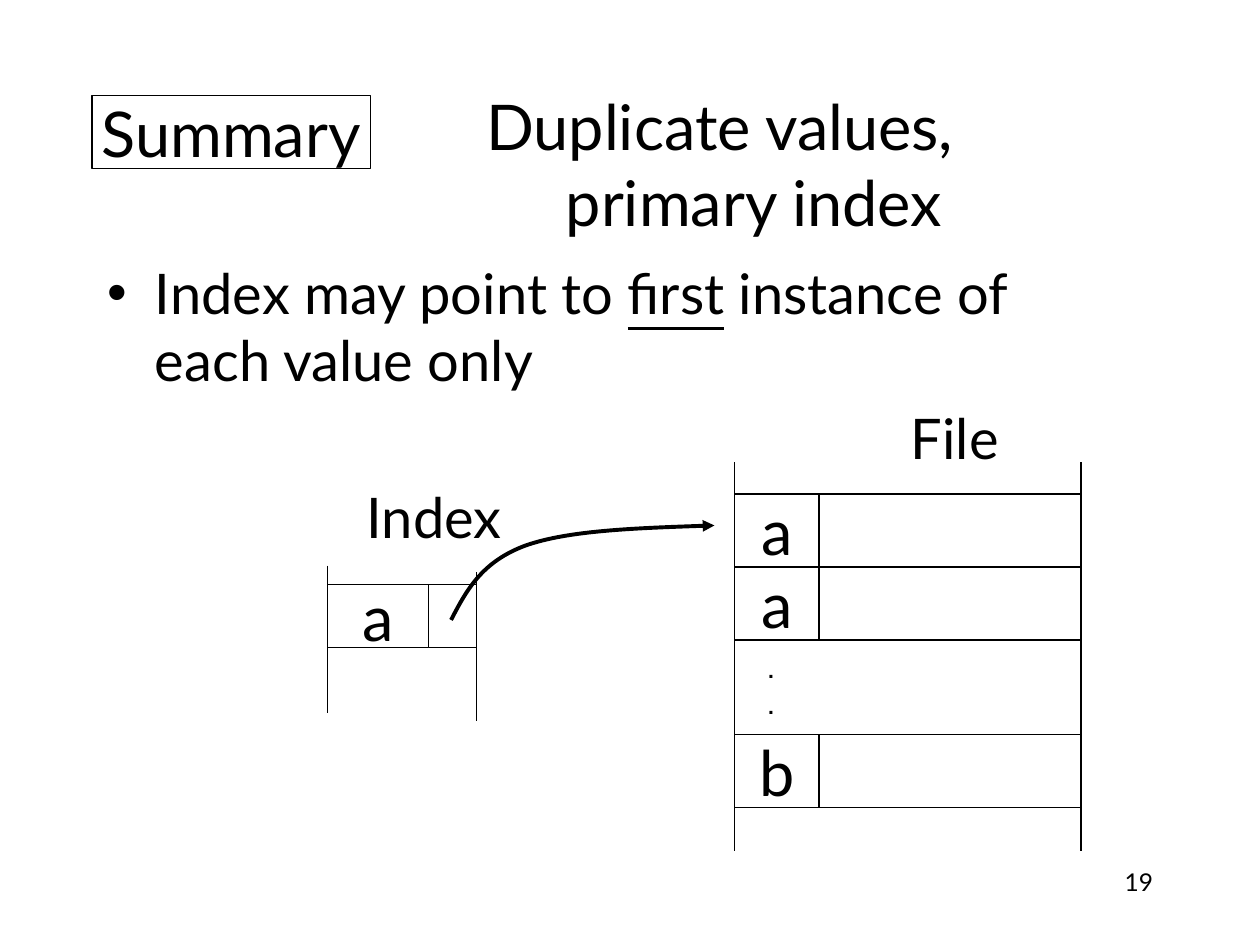
from pptx import Presentation
from pptx.dml.color import RGBColor
from pptx.enum.shapes import MSO_CONNECTOR, MSO_SHAPE
from pptx.enum.text import MSO_ANCHOR, MSO_AUTO_SIZE, PP_ALIGN
from pptx.oxml.ns import qn
from pptx.util import Inches, Pt
from lxml import etree

BLACK = RGBColor(0, 0, 0)
WHITE = RGBColor(255, 255, 255)
LEFT, CENTER, RIGHT = PP_ALIGN.LEFT, PP_ALIGN.CENTER, PP_ALIGN.RIGHT
TOP, MIDDLE = MSO_ANCHOR.TOP, MSO_ANCHOR.MIDDLE
NO_AUTOFIT = MSO_AUTO_SIZE.NONE
RECTANGLE = MSO_SHAPE.RECTANGLE
STRAIGHT = MSO_CONNECTOR.STRAIGHT
THIN, THICK = Pt(0.75), Pt(2.25)


def add_text(paragraph, text, size=36, font="Lato", bold=False, underline=False,
             align=LEFT, before=0):
    paragraph.alignment = align
    paragraph.space_before = Pt(before)
    run = paragraph.add_run()
    run.text = text
    run.font.name = font
    run.font.size = Pt(size)
    run.font.bold = bold
    run.font.underline = underline
    run.font.color.rgb = BLACK


def set_indent(paragraph, margin, first=0, bullet=None):
    properties = paragraph._p.get_or_add_pPr()
    properties.set("marL", str(Inches(margin)))
    properties.set("indent", str(Inches(first)))
    if bullet:
        etree.SubElement(properties, qn("a:buChar")).set("char", bullet)
    else:
        etree.SubElement(properties, qn("a:buNone"))


def place(shape, left, top, width, height):
    shape.left, shape.top = Inches(left), Inches(top)
    shape.width, shape.height = Inches(width), Inches(height)


def prepare_frame(shape, anchor, wrap=True):
    frame = shape.text_frame
    frame.auto_size = NO_AUTOFIT
    frame.word_wrap = wrap
    frame.vertical_anchor = anchor
    return frame


def add_box(slide, left, top, width, height, text=""):
    shape = slide.shapes.add_shape(
        RECTANGLE, Inches(left), Inches(top), Inches(width), Inches(height))
    shape.shadow.inherit = False
    shape.fill.solid()
    shape.fill.fore_color.rgb = WHITE
    shape.line.color.rgb = BLACK
    shape.line.width = THIN
    if text:
        frame = prepare_frame(shape, MIDDLE, wrap=False)
        add_text(frame.paragraphs[0], text, align=CENTER)


def add_rail(slide, left, top, height):
    rail = slide.shapes.add_connector(
        STRAIGHT, Inches(left), Inches(top), Inches(left), Inches(top + height))
    rail.line.color.rgb = BLACK
    rail.line.width = THIN
    etree.SubElement(rail._element.spPr, qn("a:effectLst"))


def add_record(slide, left, top, key_width, rest_width, height, key):
    add_box(slide, left, top, key_width, height, key)
    add_box(slide, left + key_width, top, rest_width, height)


def add_title(slide, left, top, width, height):
    title = slide.shapes.title
    place(title, left, top, width, height)
    frame = prepare_frame(title, MIDDLE)
    lines = (("Duplicate values,", 3.01), ("primary index", 3.64))
    for number, (text, margin) in enumerate(lines):
        paragraph = frame.add_paragraph() if number else frame.paragraphs[0]
        set_indent(paragraph, margin)
        add_text(paragraph, text)


def add_body(slide, left, top, width, height):
    body = slide.placeholders[1]
    place(body, left, top, width, height)
    frame = prepare_frame(body, TOP)
    point = frame.paragraphs[0]
    set_indent(point, 0.38, -0.38, bullet="•")
    add_text(point, "Index may point to ", size=32)
    add_text(point, "first", size=32, underline=True)
    add_text(point, " instance of", size=32)
    point.add_line_break()
    add_text(point, "each value only", size=32)
    for label, margin in (("File", 6.38), ("Index", 2.06)):
        paragraph = frame.add_paragraph()
        set_indent(paragraph, margin)
        add_text(paragraph, label, size=32, before=6.4)


def add_index(slide, left, top):
    add_record(slide, left, top + 0.15, 0.8, 0.38, 0.5, "a")
    add_rail(slide, left, top, 1.17)
    add_rail(slide, left + 1.18, top + 0.05, 1.18)


def add_file(slide, left, top, width, height):
    key_width, row_height = 0.67, 0.58
    for offset, key in ((0.25, "a"), (0.25 + row_height, "a"), (2.16, "b")):
        add_record(slide, left, top + offset, key_width, width - key_width,
                   row_height, key)
    for rail_left in (left, left + width):
        add_rail(slide, rail_left, top, height)
    dots = slide.shapes.add_textbox(
        Inches(left + 0.17), Inches(top + 1.5), Inches(0.24), Inches(0.6))
    frame = prepare_frame(dots, TOP, wrap=False)
    dot_format = {"size": 12, "font": "Arial", "bold": True, "align": CENTER}
    add_text(frame.paragraphs[0], ".", **dot_format)
    add_text(frame.add_paragraph(), ".", before=6, **dot_format)


def add_pointer(slide, left, top):
    offsets = ((0, 0.75), (0.12, 0.52), (0.24, 0.29), (0.59, 0.16),
               (0.93, 0.04), (1.51, 0.02), (2.09, 0))
    points = [(Inches(left + x), Inches(top + y)) for x, y in offsets]
    builder = slide.shapes.build_freeform(*points[0])
    builder.add_line_segments(points[1:], close=False)
    pointer = builder.convert_to_shape()
    outline = next(pointer._element.iter(qn("a:path")))
    segments = outline.findall(qn("a:lnTo"))
    for start in range(0, len(segments), 3):
        curve = etree.SubElement(outline, qn("a:cubicBezTo"))
        for segment in segments[start:start + 3]:
            curve.append(segment[0])
            outline.remove(segment)
    pointer.shadow.inherit = False
    pointer.fill.background()
    pointer.line.color.rgb = BLACK
    pointer.line.width = THICK
    etree.SubElement(pointer.line._get_or_add_ln(), qn("a:tailEnd")).set("type", "triangle")


def add_slide_number(slide, left, top, width, height):
    box = slide.shapes.add_textbox(
        Inches(left), Inches(top), Inches(width), Inches(height))
    frame = prepare_frame(box, TOP)
    add_text(frame.paragraphs[0], "19", size=14, align=RIGHT)


def main():
    presentation = Presentation()
    presentation.slide_width = Inches(10)
    presentation.slide_height = Inches(7.5)
    slide = presentation.slides.add_slide(presentation.slide_layouts[1])
    add_slide_number(slide, 7.17, 6.83, 2.08, 0.5)
    add_title(slide, 0.75, 0.67, 8.5, 1.25)
    add_body(slide, 0.75, 2, 8.5, 4.5)
    add_box(slide, 0.73, 0.76, 2.21, 0.58, "Summary")
    add_index(slide, 2.6, 4.49)
    add_file(slide, 5.83, 3.67, 2.75, 3.08)
    add_pointer(slide, 3.58, 4.17)
    presentation.save("out.pptx")


if __name__ == "__main__":
    main()
